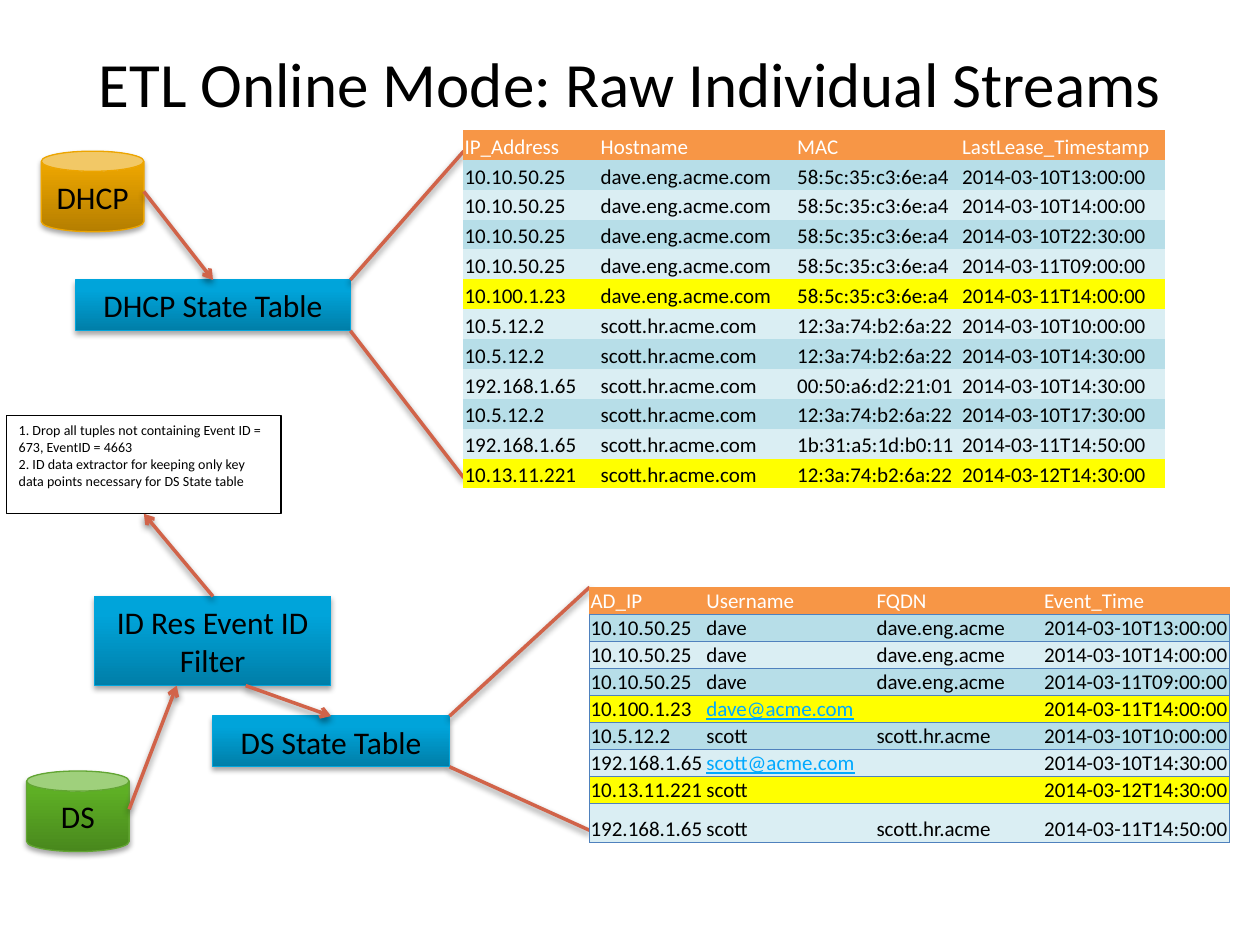
from copy import deepcopy

from lxml.etree import SubElement
from pptx import Presentation
from pptx.dml.color import RGBColor
from pptx.enum.shapes import MSO_CONNECTOR, MSO_SHAPE
from pptx.enum.text import MSO_ANCHOR, PP_ALIGN
from pptx.oxml.ns import qn
from pptx.util import Pt

FONT = "Calibri"
BLACK = RGBColor(0, 0, 0)
WHITE = RGBColor(255, 255, 255)
RUST = RGBColor(0xD1, 0x63, 0x49)
HEADER = RGBColor(0xF7, 0x96, 0x46)
BANDS = RGBColor(0xDA, 0xEE, 0xF3), RGBColor(0xB7, 0xDE, 0xE8)
HIGHLIGHT = RGBColor(0xFF, 0xFF, 0)
LINK = RGBColor(0, 0xA9, 0xFF)
RULE = RGBColor(0x4F, 0x81, 0xBD)
GOLD = RGBColor(0xB5, 0x7E, 0), RGBColor(0xEA, 0xA4, 0), RGBColor(0xED, 0xA5, 0)
GREEN = RGBColor(0x49, 0x88, 0x1D), RGBColor(0x5F, 0xB1, 0x25), RGBColor(0x62, 0xA5, 0x33)
BLUE = RGBColor(0, 0x7E, 0xA8), RGBColor(0, 0xA4, 0xDA), RGBColor(0, 0xA5, 0xDC)

TITLE = "ETL Online Mode: Raw Individual Streams"
FILTER_RULES = [
    "1. Drop all tuples not containing Event ID = 673, EventID = 4663",
    "2. ID data extractor for keeping only key data points necessary for DS State table",
]
NODES = [
    ("DHCP", MSO_SHAPE.CAN, (23.6, 86.4, 58.6, 46), GOLD),
    ("DS", MSO_SHAPE.CAN, (15.2, 440.6, 58.6, 46), GREEN),
    ("ID Res Event ID Filter", MSO_SHAPE.RECTANGLE, (54, 340.8, 135, 51), BLUE),
    ("DHCP State Table", MSO_SHAPE.RECTANGLE, (43.2, 160, 157, 29), BLUE),
    ("DS State Table", MSO_SHAPE.RECTANGLE, (121.5, 409.2, 135.4, 29), BLUE),
]
ARROWS = [
    ((82.2, 109.4), (121.7, 160)),
    ((73.8, 462.5), (101, 391.8)),
    ((140.4, 391.8), (189.2, 409.2)),
    ((121.7, 340.8), (82.2, 293.6)),
]
CALLOUT_LINES = [
    ((200.2, 160), (265, 86.4)),
    ((265, 273), (200.2, 189)),
    ((256.9, 409.2), (337, 335.5)),
    ((337, 474.5), (256.9, 438.2)),
]

DAVE, SCOTT = "dave.eng.acme.com", "scott.hr.acme.com"
DAVE_MAC, SCOTT_MAC = "58:5c:35:c3:6e:a4", "12:3a:74:b2:6a:22"
DHCP_ROWS = [
    ("IP_Address", "Hostname", "MAC", "LastLease_Timestamp"),
    ("10.10.50.25", DAVE, DAVE_MAC, "2014-03-10T13:00:00"),
    ("10.10.50.25", DAVE, DAVE_MAC, "2014-03-10T14:00:00"),
    ("10.10.50.25", DAVE, DAVE_MAC, "2014-03-10T22:30:00"),
    ("10.10.50.25", DAVE, DAVE_MAC, "2014-03-11T09:00:00"),
    ("10.100.1.23", DAVE, DAVE_MAC, "2014-03-11T14:00:00"),
    ("10.5.12.2", SCOTT, SCOTT_MAC, "2014-03-10T10:00:00"),
    ("10.5.12.2", SCOTT, SCOTT_MAC, "2014-03-10T14:30:00"),
    ("192.168.1.65", SCOTT, "00:50:a6:d2:21:01", "2014-03-10T14:30:00"),
    ("10.5.12.2", SCOTT, SCOTT_MAC, "2014-03-10T17:30:00"),
    ("192.168.1.65", SCOTT, "1b:31:a5:1d:b0:11", "2014-03-11T14:50:00"),
    ("10.13.11.221", SCOTT, SCOTT_MAC, "2014-03-12T14:30:00"),
]
DIRECTORY_ROWS = [
    ("AD_IP", "Username", "FQDN", "Event_Time"),
    ("10.10.50.25", "dave", "dave.eng.acme", "2014-03-10T13:00:00"),
    ("10.10.50.25", "dave", "dave.eng.acme", "2014-03-10T14:00:00"),
    ("10.10.50.25", "dave", "dave.eng.acme", "2014-03-11T09:00:00"),
    ("10.100.1.23", "dave@acme.com", "", "2014-03-11T14:00:00"),
    ("10.5.12.2", "scott", "scott.hr.acme", "2014-03-10T10:00:00"),
    ("192.168.1.65", "scott@acme.com", "", "2014-03-10T14:30:00"),
    ("10.13.11.221", "scott", "", "2014-03-12T14:30:00"),
    ("192.168.1.65", "scott", "scott.hr.acme", "2014-03-11T14:50:00"),
]
HIGHLIGHTED_IPS = {"10.100.1.23", "10.13.11.221"}
NO_STYLE = "{2D5ABB26-0587-4C30-8999-92F81FD0307C}"


def write(frame, lines, size, color=BLACK, align=PP_ALIGN.LEFT):
    frame.word_wrap = True
    frame.text = "\n".join(lines)
    for paragraph in frame.paragraphs:
        paragraph.alignment = align
        for run in paragraph.runs:
            run.font.name, run.font.size = FONT, Pt(size)
            run.font.color.rgb = color


def add_color(parent, color):
    return SubElement(parent, qn("a:srgbClr"), val=str(color))


def cast_shadow(properties, blur, distance, opacity):
    effects = SubElement(properties, qn("a:effectLst"))
    shadow = SubElement(effects, qn("a:outerShdw"), blurRad=str(Pt(blur)),
                        dist=str(Pt(distance)), dir="5400000", rotWithShape="0")
    SubElement(add_color(shadow, BLACK), qn("a:alpha"), val=str(opacity * 1000))


def add_node(slide, label, preset, box, colors):
    node = slide.shapes.add_shape(preset, *map(Pt, box))
    dark, light, edge = colors
    node.fill.gradient()
    node.fill.gradient_angle = 90
    stops = node._element.spPr.find(".//" + qn("a:gsLst"))
    stops.append(deepcopy(stops[-1]))
    for stop, position, color in zip(node.fill.gradient_stops, (0, 0.8, 1), (dark, light, light)):
        stop.position = position
        stop.color.rgb = color
    node.line.color.rgb = edge
    node.line.width = Pt(0.75)
    cast_shadow(node._element.spPr, 3.1, 1.8, 35)
    frame = node.text_frame
    frame.margin_left = frame.margin_right = frame.margin_top = frame.margin_bottom = Pt(3.6)
    frame.vertical_anchor = MSO_ANCHOR.MIDDLE
    write(frame, [label], 18, align=PP_ALIGN.CENTER)


def add_line(slide, start, end, arrow):
    line = slide.shapes.add_connector(MSO_CONNECTOR.STRAIGHT, *map(Pt, start + end))
    line.line.color.rgb = RUST
    line.line.width = Pt(2)
    if arrow:
        SubElement(line.line._get_or_add_ln(), qn("a:tailEnd"), type="arrow")
    cast_shadow(line._element.spPr, 4, 2, 45)


def rule_cell(cell, sides):
    properties = cell._tc.get_or_add_tcPr()
    for side in sides:
        border = SubElement(properties, qn("a:ln" + side), w=str(Pt(0.5)))
        add_color(SubElement(border, qn("a:solidFill")), RULE)


def add_state_table(slide, rows, left, top, widths, heights, ruled):
    graphic = slide.shapes.add_table(len(rows), len(widths), Pt(left), Pt(top),
                                     Pt(sum(widths)), Pt(sum(heights)))
    table = graphic.table
    table.first_row = table.horz_banding = False
    table._tbl.tblPr.find(qn("a:tableStyleId")).text = NO_STYLE
    for column, width in zip(table.columns, widths):
        column.width = Pt(width)
    for r, values in enumerate(rows):
        table.rows[r].height = Pt(heights[r])
        fill = HIGHLIGHT if values[0] in HIGHLIGHTED_IPS else BANDS[r % 2]
        for c, value in enumerate(values):
            cell = table.cell(r, c)
            cell.margin_left, cell.margin_right = Pt(0.7), Pt(0.4)
            cell.margin_top, cell.margin_bottom = Pt(0.7), 0
            cell.vertical_anchor = MSO_ANCHOR.BOTTOM
            is_email = "@" in value
            write(cell.text_frame, [value], 12, LINK if is_email else BLACK if r else WHITE)
            if is_email:
                cell.text_frame.paragraphs[0].runs[0].font.underline = True
            if not value:
                cell.text_frame.paragraphs[0].font.size = Pt(12)
            if ruled:
                outer = {0: "L", len(widths) - 1: "R"}.get(c, "")
                rule_cell(cell, outer + "TB" if r else "B")
            cell.fill.solid()
            cell.fill.fore_color.rgb = fill if r else HEADER


def main():
    deck = Presentation()
    deck.slide_width, deck.slide_height = Pt(720), Pt(540)
    slide = deck.slides.add_slide(deck.slide_layouts[6])

    title = slide.shapes.add_textbox(Pt(36), Pt(2.2), Pt(648), Pt(90)).text_frame
    title.vertical_anchor = MSO_ANCHOR.MIDDLE
    write(title, [TITLE], 36, align=PP_ALIGN.CENTER)

    for node in NODES:
        add_node(slide, *node)

    rules = slide.shapes.add_textbox(Pt(3.6), Pt(237.6), Pt(157), Pt(56))
    rules.line.color.rgb = BLACK
    rules.line.width = Pt(0.75)
    write(rules.text_frame, FILTER_RULES, 8)

    for start, end in ARROWS:
        add_line(slide, start, end, True)
    for start, end in CALLOUT_LINES:
        add_line(slide, start, end, False)

    add_state_table(slide, DHCP_ROWS, 264.8, 74.3, (77.8, 112.3, 94.3, 116.6),
                    [17.07] * len(DHCP_ROWS), False)
    add_state_table(slide, DIRECTORY_ROWS, 336.8, 335.4, (66.2, 97.2, 95.8, 106.7),
                    [15.45] * (len(DIRECTORY_ROWS) - 1) + [22.5], True)
    deck.save("out.pptx")


if __name__ == "__main__":
    main()
